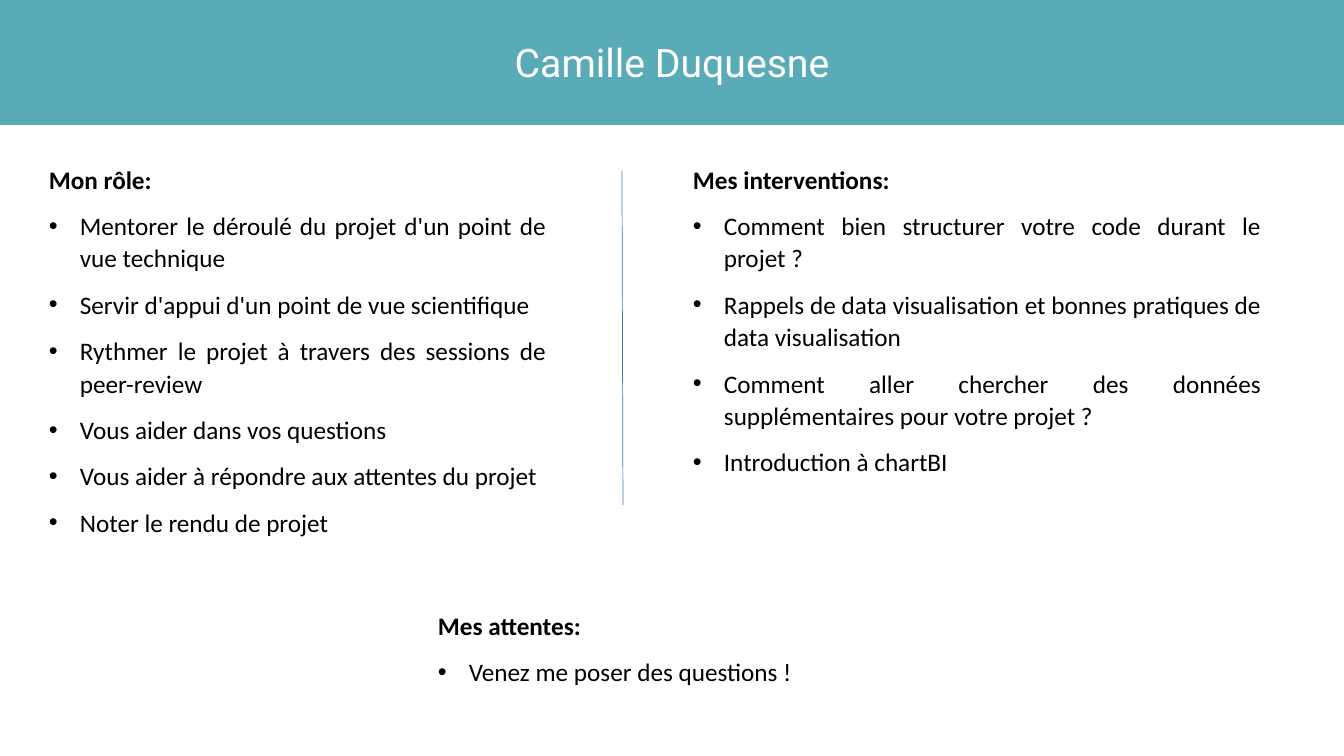
from dataclasses import dataclass

from lxml.etree import SubElement
from pptx import Presentation
from pptx.dml.color import RGBColor
from pptx.enum.shapes import MSO_CONNECTOR, MSO_SHAPE
from pptx.enum.text import MSO_ANCHOR, PP_ALIGN
from pptx.oxml.ns import qn
from pptx.util import Emu, Pt

EMU_PER_PX = 914400 / 100.8


@dataclass(frozen=True)
class Theme:
    teal: RGBColor = RGBColor.from_string("5AABB8")
    blue: RGBColor = RGBColor.from_string("4472C4")
    black: RGBColor = RGBColor.from_string("000000")
    white: RGBColor = RGBColor.from_string("FFFFFF")
    title_font: str = "Roboto"
    body_font: str = "Calibri"
    title_size: Pt = Pt(28)
    body_size: Pt = Pt(18)


THEME = Theme()
TITLE_FORMAT = {"name": THEME.title_font, "size": THEME.title_size}
BODY_FORMAT = {"name": THEME.body_font, "size": THEME.body_size}
BODY_SPACING = {"alignment": PP_ALIGN.JUSTIFY, "line_spacing": 1.07}
BULLET_INDENT = 31

# Heading, box (left, top, width, height) in px, bullet points
SECTIONS = [
    ("Mon rôle:", (39, 157, 517, 480), [
        "Mentorer le déroulé du projet d'un point de vue technique",
        "Servir d'appui d'un point de vue scientifique",
        "Rythmer le projet à travers des sessions de peer-review",
        "Vous aider dans vos questions",
        "Vous aider à répondre aux attentes du projet",
        "Noter le rendu de projet",
    ]),
    ("Mes interventions:", (683, 157, 588, 480), [
        "Comment bien structurer votre code durant le projet ?",
        "Rappels de data visualisation et bonnes pratiques de data visualisation",
        "Comment aller chercher des données supplémentaires pour votre projet ?",
        "Introduction à chartBI",
    ]),
    ("Mes attentes:", (428, 603, 638, 112), ["Venez me poser des questions !"]),
]


def px(length):
    return Emu(round(length * EMU_PER_PX))


def apply_format(target, values):
    for attribute, value in values.items():
        setattr(target, attribute, value)


def write(paragraph, text, color, values):
    run = paragraph.add_run()
    run.text = text
    run.font.color.rgb = color
    apply_format(run.font, values)


def add_bullet(paragraph):
    properties = paragraph._p.get_or_add_pPr()
    properties.set("marL", str(px(BULLET_INDENT)))
    properties.set("indent", str(-px(BULLET_INDENT)))
    SubElement(properties, qn("a:buFont"), typeface="Arial")
    SubElement(properties, qn("a:buChar"), char="•")


def add_banner(slide, title, box):
    banner = slide.shapes.add_shape(MSO_SHAPE.RECTANGLE, *map(px, box))
    banner.shadow.inherit = False
    banner.fill.solid()
    banner.fill.fore_color.rgb = THEME.teal
    banner.line.color.rgb = THEME.teal
    banner.line.width = Pt(1)
    banner.text_frame.vertical_anchor = MSO_ANCHOR.MIDDLE
    name_line = banner.text_frame.paragraphs[0]
    name_line.alignment = PP_ALIGN.CENTER
    write(name_line, title, THEME.white, TITLE_FORMAT)


def add_section(slide, heading, box, points):
    section = slide.shapes.add_textbox(*map(px, box)).text_frame
    section.word_wrap = True
    heading_line = section.paragraphs[0]
    apply_format(heading_line, BODY_SPACING)
    write(heading_line, heading, THEME.black, BODY_FORMAT | {"bold": True})
    for point in points:
        point_line = section.add_paragraph()
        add_bullet(point_line)
        apply_format(point_line, BODY_SPACING | {"space_before": Pt(10)})
        write(point_line, point, THEME.black, BODY_FORMAT)


def add_divider(slide, start, end):
    divider = slide.shapes.add_connector(MSO_CONNECTOR.STRAIGHT, *map(px, start + end))
    divider.line.color.rgb = THEME.blue
    divider.line.width = Pt(0.5)
    SubElement(divider._element.spPr, qn("a:effectLst"))


def main():
    deck = Presentation()
    deck.slide_width, deck.slide_height = px(1344), px(756)
    slide = deck.slides.add_slide(deck.slide_layouts[6])

    # Name of the mentor
    add_banner(slide, "Camille Duquesne", (0, -1, 1344, 125))

    # Role, talks and expectations
    for heading, box, points in SECTIONS:
        add_section(slide, heading, box, points)

    # Rule between the two columns
    add_divider(slide, (622, 171), (623, 505))

    deck.save("out.pptx")


if __name__ == "__main__":
    main()
